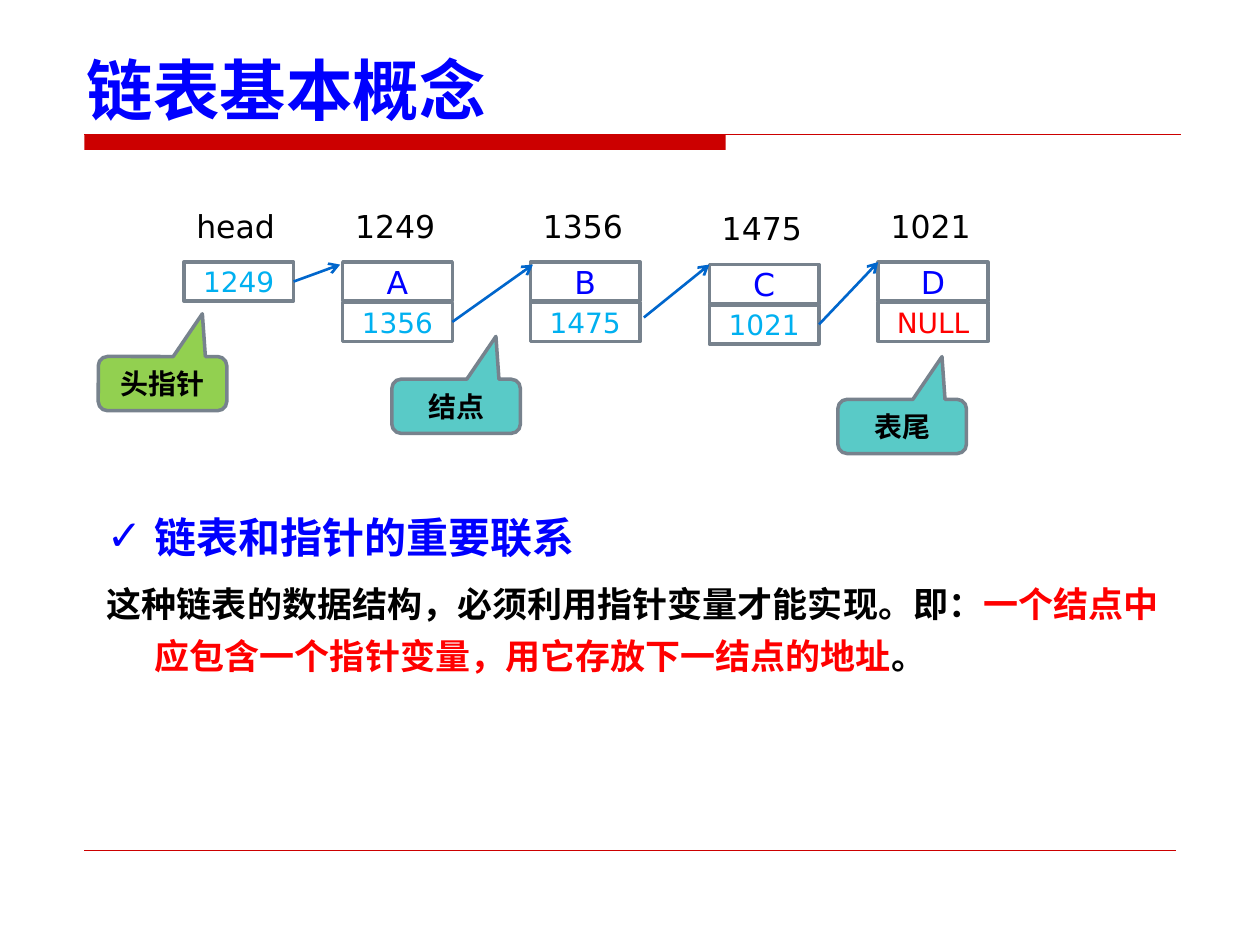
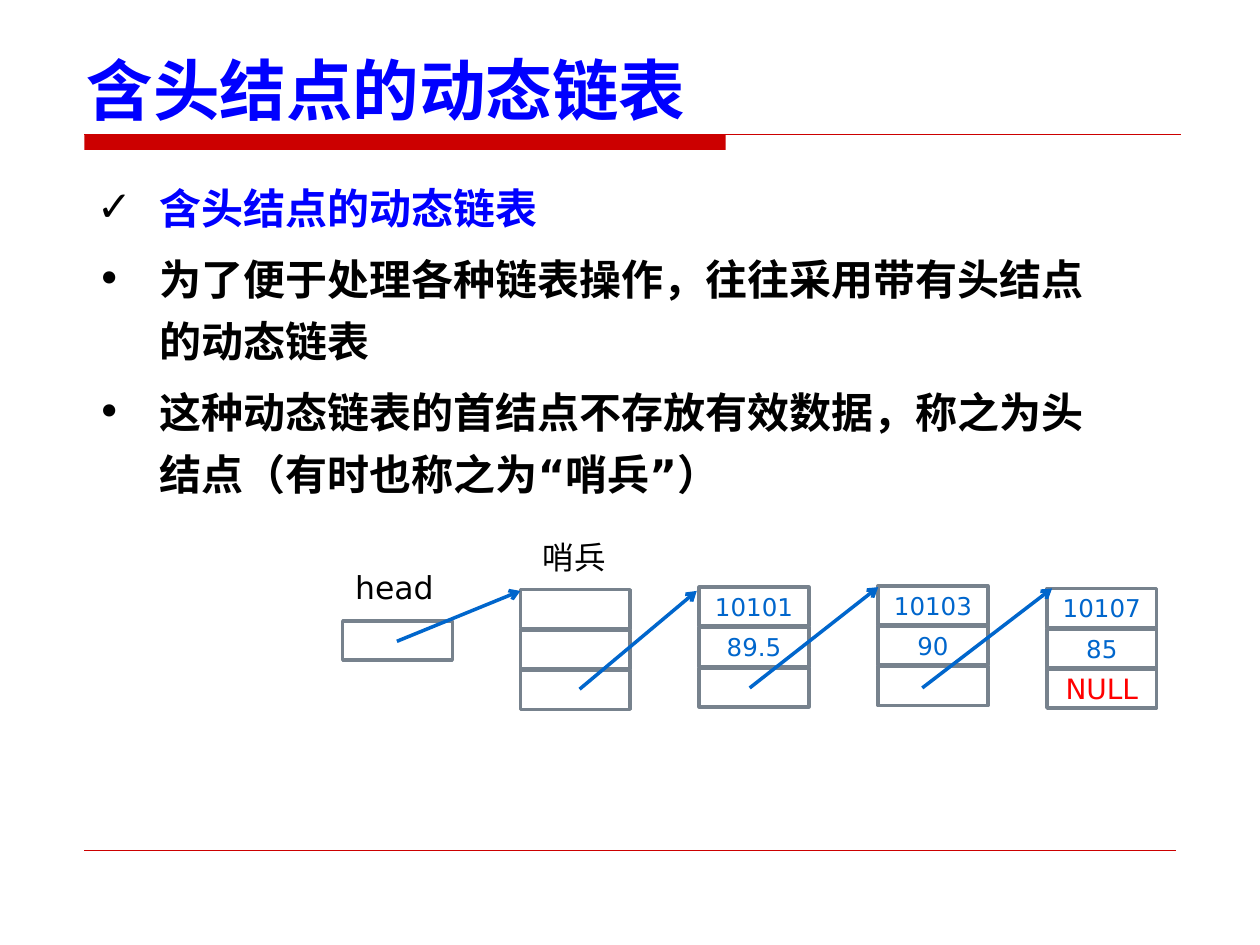
from lxml import etree
from pptx import Presentation
from pptx.dml.color import RGBColor
from pptx.enum.shapes import MSO_CONNECTOR, MSO_SHAPE
from pptx.enum.text import MSO_ANCHOR, PP_ALIGN
from pptx.oxml.ns import qn
from pptx.util import Inches, Pt

STRAIGHT = MSO_CONNECTOR.STRAIGHT
RECTANGLE = MSO_SHAPE.RECTANGLE
CALLOUT = MSO_SHAPE.ROUNDED_RECTANGULAR_CALLOUT
MIDDLE, BOTTOM = MSO_ANCHOR.MIDDLE, MSO_ANCHOR.BOTTOM
CENTER = PP_ALIGN.CENTER
RIGHT_SIDE = 3

FONT = "DejaVu Sans"
COLORS = {
    "band": "CC0000", "heading": "0000FF", "text": "000000", "key": "FF0000",
    "address": "00B0F0", "value": "0066CC", "arrow": "0066CC",
    "cell": "FFFFFF", "border": "77828D", "head_note": "92D050", "note": "59CAC7",
}
CELL_W, CELL_H, ROW_PITCH = 0.87, 0.31, 0.32
LABEL_H = 0.4


def rgb(name):
    return RGBColor.from_string(COLORS[name])


def box(left, top, width, height):
    return [Inches(v) for v in (left, top, width, height)]


def style_run(run, size, color, bold=False):
    run.font.size = Pt(size)
    run.font.bold = bold
    run.font.color.rgb = rgb(color)
    run.font.name = FONT
    etree.SubElement(run.font._element, qn("a:ea"), typeface=FONT)


def add_text(slide, area, text, size, color, bold=False, wrap=True, anchor=None):
    frame = slide.shapes.add_textbox(*box(*area)).text_frame
    frame.word_wrap = wrap
    frame.vertical_anchor = anchor
    frame.text = text
    style_run(frame.paragraphs[0].runs[0], size, color, bold)


def add_box(slide, kind, area, fill, text="", size=16, color="text", bold=False):
    shape = slide.shapes.add_shape(kind, *box(*area))
    shape.shadow.inherit = False
    shape.fill.solid()
    shape.fill.fore_color.rgb = rgb(fill)
    shape.line.color.rgb = rgb("border")
    shape.line.width = Pt(2)
    if text:
        frame = shape.text_frame
        frame.vertical_anchor = MIDDLE
        frame.text = text
        frame.paragraphs[0].alignment = CENTER
        style_run(frame.paragraphs[0].runs[0], size, color, bold)
    return shape


def add_line(slide, start, end, color, width, arrow=False):
    line = slide.shapes.add_connector(
        STRAIGHT, *[Inches(v) for v in (*start, *end)])
    line.line.color.rgb = rgb(color)
    line.line.width = Pt(width)
    if arrow:
        etree.SubElement(line.line._get_or_add_ln(), qn("a:tailEnd"), type="arrow")
    etree.SubElement(line._element.spPr, qn("a:effectLst"))
    return line


def add_frame(slide, title):
    # Title, red band below it and footer rule
    band = slide.shapes.add_shape(RECTANGLE, *box(0.67, 1.07, 5.09, 0.12))
    band.shadow.inherit = False
    band.fill.solid()
    band.fill.fore_color.rgb = rgb("band")
    band.line.fill.background()
    add_line(slide, (0.67, 1.07), (9.37, 1.07), "band", 0.75)
    add_line(slide, (0.67, 6.75), (9.33, 6.75), "band", 0.25)
    add_text(slide, (0.59, 0.28, 9.06, 0.79), title, 38, "heading", True,
             anchor=BOTTOM)


def add_body(slide, area, paragraphs, indent, spacing):
    """Each paragraph is (bullet, bullet colour, size, [(text, colour), ...])."""
    frame = slide.shapes.add_textbox(*box(*area)).text_frame
    frame.word_wrap = True
    for i, (bullet, bullet_color, size, parts) in enumerate(paragraphs):
        paragraph = frame.add_paragraph() if i else frame.paragraphs[0]
        props = paragraph._p.get_or_add_pPr()
        props.set("marL", str(Inches(indent)))
        props.set("indent", str(-Inches(indent)))
        if bullet:
            tint = etree.SubElement(props, qn("a:buClr"))
            etree.SubElement(tint, qn("a:srgbClr"), val=COLORS[bullet_color])
            etree.SubElement(props, qn("a:buFont"), typeface=FONT)
            etree.SubElement(props, qn("a:buChar"), char=bullet)
        paragraph.line_spacing = Pt(spacing)
        if i:
            paragraph.space_before = Pt(6)
        for text, color in parts:
            run = paragraph.add_run()
            run.text = text
            style_run(run, size, color, True)


def add_node(slide, left, top, rows):
    """Stack cells given as (text, size, colour); return the last one."""
    for i, row in enumerate(rows):
        cell = add_box(slide, RECTANGLE,
                       (left, top + i * ROW_PITCH, CELL_W, CELL_H), "cell", *row)
    return cell


def add_address_list(slide, left, top):
    nodes = [  # offset, label, cells
        (0, 0, "head", [("1249", 16, "address")]),
        (1.26, 0, "1249", [("A", 18, "heading"), ("1356", 16, "address")]),
        (2.75, 0, "1356", [("B", 18, "heading"), ("1475", 16, "address")]),
        (4.17, 0.02, "1475", [("C", 18, "heading"), ("1021", 16, "address")]),
        (5.51, 0, "1021", [("D", 18, "heading"), ("NULL", 16, "key")]),
    ]
    pointers = []
    for x, y, label, rows in nodes:
        pointers.append(add_node(slide, left + x, top + y, rows))
        add_text(slide, (left + x, top + y - 0.49, CELL_W, LABEL_H),
                 label, 18, "text")

    # Links from each pointer cell to the next node
    links = [((0.87, 0.15), (1.24, 0.02), True), ((2.14, 0.48), (2.77, 0.02), True),
             ((3.65, 0.44), (4.17, 0.02), False), ((5.04, 0.5), (5.51, 0), True)]
    for pointer, ((x1, y1), (x2, y2), joined) in zip(pointers, links):
        link = add_line(slide, (left + x1, top + y1), (left + x2, top + y2),
                        "arrow", 1.5, True)
        if joined:
            link.begin_connect(pointer, RIGHT_SIDE)

    # Callouts
    for x, y, text, fill in [(-0.68, 0.75, "头指针", "head_note"),
                             (1.65, 0.93, "结点", "note"),
                             (5.19, 1.09, "表尾", "note")]:
        note = add_box(slide, CALLOUT, (left + x, top + y, 1.02, 0.43), fill,
                       text, bold=True)
        for i, value in enumerate((0.31, -1.29, 0.17)):
            note.adjustments[i] = value


def add_sentinel_list(slide, left, top):
    empty = ("",)
    nodes = [
        (0, 0.28, [empty]),
        (1.41, 0.03, [empty] * 3),
        (2.83, 0.01, [("10101", 14, "value"), ("89.5", 14, "value"), empty]),
        (4.25, 0, [("10103", 14, "value"), ("90", 14, "value"), empty]),
        (5.59, 0.02, [("10107", 14, "value"), ("85", 14, "value"),
                      ("NULL", 16, "key")]),
    ]
    for x, y, rows in nodes:
        add_node(slide, left + x, top + y, rows)
    add_text(slide, (left, top - 0.19, CELL_W, LABEL_H), "head", 18, "text")
    add_text(slide, (left + 1.49, top - 0.43, 0.7, LABEL_H), "哨兵", 18, "text",
             wrap=False)

    # Links start inside the pointer cells
    for (x1, y1), (x2, y2) in [((0.43, 0.44), (1.41, 0.04)),
                               ((1.88, 0.82), (2.81, 0.04)),
                               ((3.23, 0.81), (4.25, 0.01)),
                               ((4.6, 0.81), (5.63, 0.02))]:
        add_line(slide, (left + x1, top + y1), (left + x2, top + y2),
                 "arrow", 2, True)


def build_concept_slide(slide):
    add_frame(slide, "链表基本概念")
    add_body(slide, (0.75, 3.99, 8.66, 2.44), [
        ("✓", "heading", 24, [("链表和指针的重要联系", "heading")]),
        (None, None, 20, [
            ("这种链表的数据结构，必须利用指针变量才能实现。即：", "text"),
            ("一个结点中应包含一个指针变量，用它存放下一结点的地址", "key"),
            ("。", "text")]),
    ], indent=0.38, spacing=30)
    add_address_list(slide, 1.46, 2.08)


def build_sentinel_slide(slide):
    title = "含头结点的动态链表"
    add_frame(slide, title)
    add_body(slide, (0.67, 1.31, 8.19, 2.68), [
        ("✓", "text", 24, [(title, "heading")]),
        ("•", "text", 24, [
            ("为了便于处理各种链表操作，往往采用带有头结点的动态链表", "text")]),
        ("•", "text", 24, [
            ("这种动态链表的首结点不存放有效数据，称之为头结点（有时也称之为“哨兵”）",
             "text")]),
    ], indent=0.5, spacing=35)
    add_sentinel_list(slide, 2.72, 4.65)


def main():
    deck = Presentation()
    deck.slide_width, deck.slide_height = Inches(10), Inches(7.5)
    for build in (build_concept_slide, build_sentinel_slide):
        build(deck.slides.add_slide(deck.slide_layouts[6]))
    deck.save("out.pptx")


if __name__ == "__main__":
    main()
